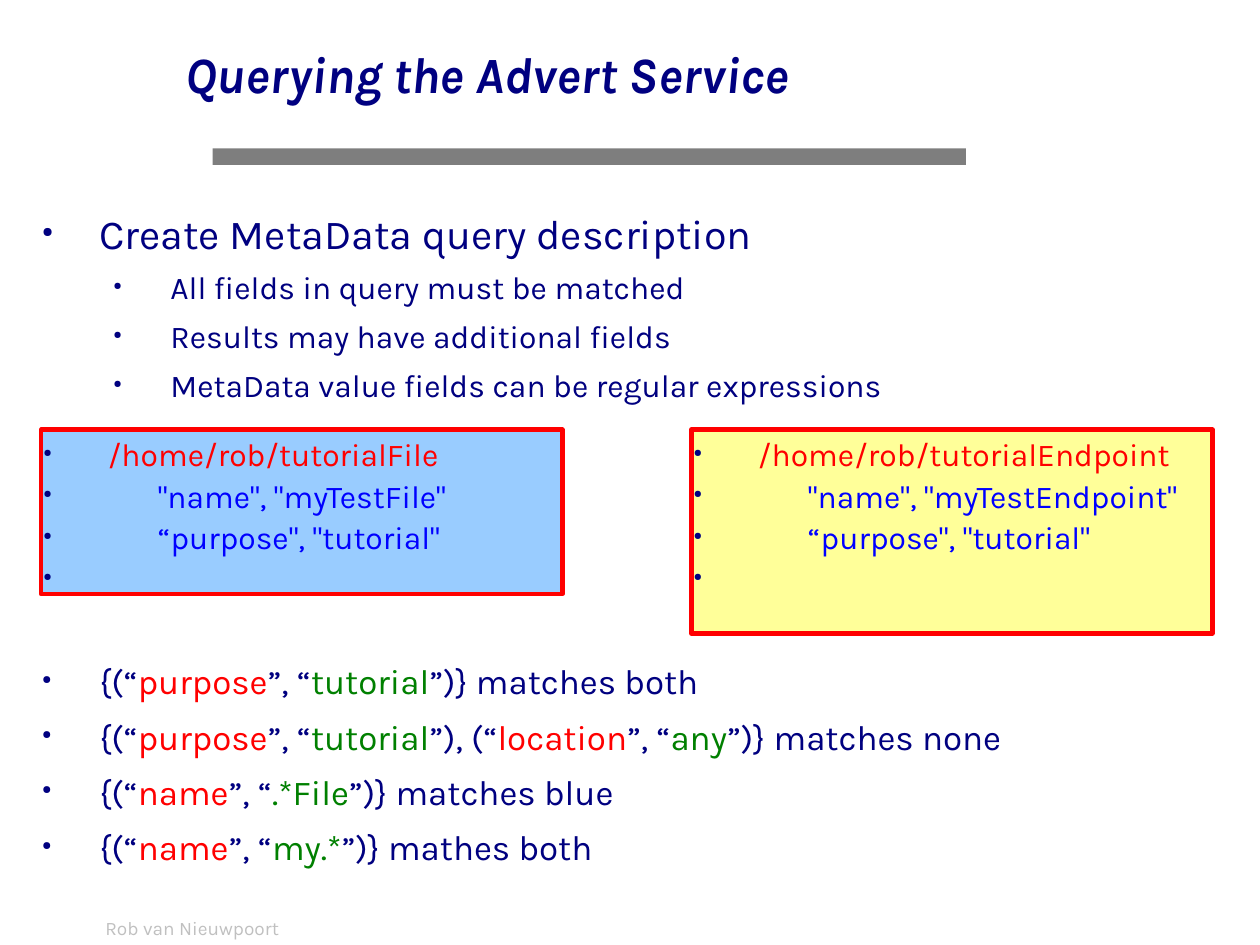
"""Build the slide about querying the advert service."""
from dataclasses import dataclass

from lxml import etree
from pptx import Presentation
from pptx.dml import color
from pptx.enum import shapes, text
from pptx.oxml import ns
from pptx.util import Pt


@dataclass(frozen=True)
class Theme:
    font: str = "Karla"
    navy: str = "000080"
    red: str = "FF0000"
    blue: str = "0000FF"
    green: str = "008000"
    grey: str = "7E7E7E"
    silver: str = "C0C0C0"
    sky: str = "99CCFF"
    lemon: str = "FFFF99"
    title: float = 32
    heading: float = 26
    query: float = 22
    detail: float = 20
    footer: float = 12
    bullet_percent: int = 34
    border: float = 2.89


THEME = Theme()


@dataclass(frozen=True)
class Area:
    left: float
    top: float
    width: float
    height: float

    def lengths(self) -> tuple:
        return Pt(self.left), Pt(self.top), Pt(self.width), Pt(self.height)


@dataclass(frozen=True)
class Span:
    words: str
    tint: str = THEME.navy


@dataclass(frozen=True)
class Line:
    spans: tuple[Span, ...]
    size: float
    indent: float = 0
    hang: float = 0
    before: float = 0
    spacing: float = 1.07


@dataclass(frozen=True)
class Query:
    pairs: tuple[tuple[str, str], ...]
    verdict: str

    def spans(self) -> tuple[Span, ...]:
        parts = [Span("{(“")]
        for number, (key, value) in enumerate(self.pairs):
            if number:
                parts.append(Span("”), (“"))
            parts += [Span(key, THEME.red), Span("”, “"), Span(value, THEME.green)]
        return (*parts, Span(f"”)}} {self.verdict}"))


@dataclass(frozen=True)
class Advert:
    area: Area
    fill: str
    location: str
    name: str

    def lines(self) -> list[Line]:
        rows = (
            (self.location, THEME.red, 40.5),
            (f'"name", "{self.name}"', THEME.blue, 72),
            ('“purpose", "tutorial"', THEME.blue, 72),
            (" ", THEME.red, 36),
        )
        return [
            Line((Span(words, tint),), THEME.detail, indent, indent, spacing=1.08)
            for words, tint, indent in rows
        ]


DETAILS = (
    "All fields in query must be matched",
    "Results may have additional fields",
    "MetaData value fields can be regular expressions",
)
ADVERTS = (
    Advert(Area(25.9, 270.7, 328.3, 103.5), THEME.sky,
           "/home/rob/tutorialFile", "myTestFile"),
    Advert(Area(435.5, 270.7, 328.3, 128.2), THEME.lemon,
           "/home/rob/tutorialEndpoint", "myTestEndpoint"),
)
QUERIES = (
    Query((("purpose", "tutorial"),), "matches both"),
    Query((("purpose", "tutorial"), ("location", "any")), "matches none"),
    Query((("name", ".*File"),), "matches blue"),
    Query((("name", "my.*"),), "mathes both"),
)


def rgb(value: str) -> color.RGBColor:
    return color.RGBColor.from_string(value)


def add_bullet(paragraph, line: Line) -> None:
    properties = paragraph._p.get_or_add_pPr()
    properties.set("marL", str(Pt(line.indent)))
    properties.set("indent", str(-Pt(line.hang)))
    tint = etree.SubElement(properties, ns.qn("a:buClr"))
    etree.SubElement(tint, ns.qn("a:srgbClr"), val=THEME.navy)
    etree.SubElement(properties, ns.qn("a:buSzPct"), val=str(THEME.bullet_percent * 1000))
    etree.SubElement(properties, ns.qn("a:buChar"), char="●")


def write_lines(box, lines: list[Line], anchor=text.MSO_ANCHOR.TOP,
                inset: tuple[float, float] = (0, 0)) -> None:
    frame = box.text_frame
    frame.word_wrap = True
    frame.vertical_anchor = anchor
    frame.margin_left = frame.margin_right = Pt(inset[0])
    frame.margin_top = frame.margin_bottom = Pt(inset[1])
    for number, line in enumerate(lines):
        paragraph = frame.add_paragraph() if number else frame.paragraphs[0]
        paragraph.alignment = text.PP_ALIGN.LEFT
        if line.hang:
            add_bullet(paragraph, line)
        paragraph.line_spacing = line.spacing
        paragraph.space_before = Pt(line.before if number else 0)
        paragraph.font.name = THEME.font
        paragraph.font.size = Pt(line.size)
        tints = {span.tint for span in line.spans}
        if len(tints) == 1:
            paragraph.font.color.rgb = rgb(line.spans[0].tint)
        for span in line.spans:
            run = paragraph.add_run()
            run.text = span.words
            if len(tints) > 1:
                run.font.color.rgb = rgb(span.tint)


def add_text(page, area: Area, lines: list[Line], **layout):
    box = page.shapes.add_textbox(*area.lengths())
    write_lines(box, lines, **layout)
    return box


def add_rectangle(page, area: Area, fill: str, border: str = ""):
    box = page.shapes.add_shape(shapes.MSO_SHAPE.RECTANGLE, *area.lengths())
    box.shadow.inherit = False
    box.fill.solid()
    box.fill.fore_color.rgb = rgb(fill)
    if border:
        box.line.color.rgb = rgb(border)
        box.line.width = Pt(THEME.border)
    else:
        box.line.fill.background()
    return box


def main() -> None:
    deck = Presentation()
    deck.slide_width, deck.slide_height = Pt(793.7), Pt(595.28)
    page = deck.slides.add_slide(deck.slide_layouts[6])

    add_rectangle(page, Area(133.9, 93.5, 474.5, 10.5), THEME.grey)
    add_text(page, Area(59.3, 571.4, 175, 23.76),
             [Line((Span("Rob van Nieuwpoort", THEME.silver),), THEME.footer)],
             anchor=text.MSO_ANCHOR.BOTTOM, inset=(7.2, 3.6))
    title = add_text(page, Area(116.7, 0, 497.5, 89.5),
                     [Line((Span("Querying the Advert Service"),), THEME.title, spacing=1.08)],
                     anchor=text.MSO_ANCHOR.MIDDLE)
    title_font = title.text_frame.paragraphs[0].font
    title_font.bold = title_font.italic = True

    heading = Line((Span("Create MetaData query description"),), THEME.heading, 36, 36)
    details = [Line((Span(words),), THEME.detail, 80.75, 36, 5) for words in DETAILS]
    add_text(page, Area(26.6, 128.8, 741, 131), [heading, *details])

    for advert in ADVERTS:
        box = add_rectangle(page, advert.area, advert.fill, THEME.red)
        write_lines(box, advert.lines(), inset=(1.5, 1.5))

    queries = [Line(query.spans(), THEME.query, 36, 36, 6.5) for query in QUERIES]
    add_text(page, Area(26.6, 413.9, 741, 131), queries)
    deck.save("out.pptx")


if __name__ == "__main__":
    main()
